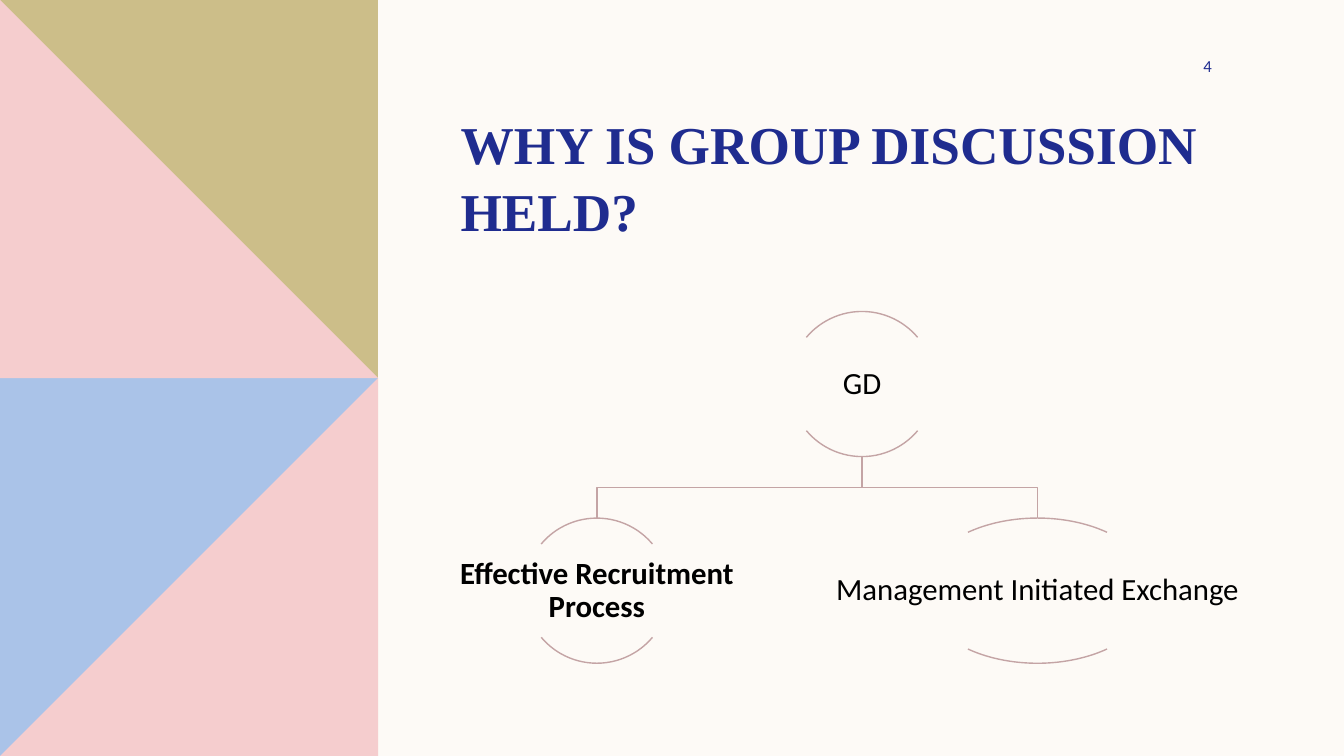
import dataclasses

import lxml.etree
import pptx
import pptx.dml.color
import pptx.enum.shapes
import pptx.enum.text
import pptx.util

Inches = pptx.util.Inches
Align = pptx.enum.text.PP_ALIGN
Anchor = pptx.enum.text.MSO_ANCHOR


@dataclasses.dataclass(frozen=True)
class Theme:
    background: str = "FDFAF6"
    blue: str = "AAC3E8"
    pink: str = "F5CDCE"
    olive: str = "CCBE89"
    navy: str = "1F2C8F"
    black: str = "000000"
    outline: str = "C4A4A5"
    heading_font: str = "Times New Roman"
    body_font: str = "Calibri"
    title_size: int = 38
    node_size: int = 22
    number_size: int = 12
    line_width: int = 1


@dataclasses.dataclass(frozen=True)
class Box:
    left: float
    top: float
    width: float
    height: float

    @property
    def right(self):
        return self.left + self.width

    @property
    def bottom(self):
        return self.top + self.height

    @property
    def center(self):
        return self.left + self.width / 2

    def lengths(self):
        return [Inches(value) for value in (self.left, self.top, self.width, self.height)]


THEME = Theme()


def color(value):
    return pptx.dml.color.RGBColor.from_string(value)


def set_all(target, values):
    for name, value in values.items():
        setattr(target, name, value)


def add_text(page, box, text, font, paragraph, anchor, insets):
    """Insets run left, top, right, bottom."""
    frame = page.shapes.add_textbox(*box.lengths()).text_frame
    set_all(frame, {"word_wrap": True, "vertical_anchor": anchor})
    for side, inset in zip(("left", "top", "right", "bottom"), insets):
        setattr(frame, f"margin_{side}", Inches(inset))
    para = frame.paragraphs[0]
    set_all(para, paragraph)
    span = para.add_run()
    span.text = text
    values = dict(font)
    span.font.color.rgb = color(values.pop("color"))
    values["size"] = pptx.util.Pt(values["size"])
    set_all(span.font, values)


def add_outline(page, points, closed):
    corners = [(Inches(x), Inches(y)) for x, y in points]
    builder = page.shapes.build_freeform(*corners[0], scale=1.0)
    builder.add_line_segments(corners[1:], close=closed)
    shape = builder.convert_to_shape()
    shape.shadow.inherit = False
    return shape


def style_line(shape):
    shape.fill.background()
    shape.line.color.rgb = color(THEME.outline)
    shape.line.width = pptx.util.Pt(THEME.line_width)


def add_side_panel(page, box):
    """Two stacked squares, each split along a diagonal."""
    middle = box.top + box.height / 2
    top_left, top_right = (box.left, box.top), (box.right, box.top)
    mid_left, mid_right = (box.left, middle), (box.right, middle)
    low_left, low_right = (box.left, box.bottom), (box.right, box.bottom)
    pieces = [
        (THEME.blue, [mid_left, mid_right, low_right, low_left]),
        (THEME.pink, [mid_right, low_right, low_left]),
        (THEME.olive, [top_left, top_right, mid_right, mid_left]),
        (THEME.pink, [top_left, mid_right, mid_left]),
    ]
    for fill, points in pieces:
        piece = add_outline(page, points, closed=True)
        piece.fill.solid()
        piece.fill.fore_color.rgb = color(fill)
        piece.line.fill.background()


def add_heading(page, box):
    font = {"name": THEME.heading_font, "size": THEME.title_size,
            "bold": True, "color": THEME.navy}
    add_text(page, box, "WHY IS GROUP DISCUSSION HELD?", font,
             {"line_spacing": 1.05}, Anchor.BOTTOM, (0.1, 0.05, 0.1, 0.05))


def add_page_number(page, box):
    font = {"name": THEME.body_font, "size": THEME.number_size, "color": THEME.navy}
    add_text(page, box, "4", font, {"alignment": Align.RIGHT},
             Anchor.MIDDLE, (0.1, 0.05, 0, 0.05))


def add_node(page, box, text, bold):
    """A label between an upper and a lower arc of the box's ellipse."""
    for start, end in ((220, 320), (40, 140)):
        arc = page.shapes.add_shape(pptx.enum.shapes.MSO_SHAPE.ARC, *box.lengths())
        arc.shadow.inherit = False
        # One adjustment unit is 100000 sixty-thousandths of a degree.
        arc.adjustments[0], arc.adjustments[1] = start * 0.6, end * 0.6
        style_line(arc)
    width, height = box.width * 2, box.height * 0.64
    label = Box(box.center - width / 2, box.top + (box.height - height) / 2, width, height)
    font = {"name": THEME.body_font, "size": THEME.node_size,
            "bold": bold, "color": THEME.black}
    add_text(page, label, text, font, {"alignment": Align.CENTER, "line_spacing": 0.9},
             Anchor.MIDDLE, (0.02,) * 4)


def add_branch(page, parent, child):
    middle = (parent.bottom + child.top) / 2
    style_line(add_outline(page, [
        (parent.center, parent.bottom), (parent.center, middle),
        (child.center, middle), (child.center, child.top)], closed=False))


def add_hierarchy(page, box):
    size = 1.44
    child_top = box.bottom - size
    root = Box(box.left + 3.35, box.top, size, size)
    recruitment = Box(box.left + 0.72, child_top, size, size)
    exchange = Box(box.left + 4.65, child_top, 2.32, size)
    for child in (exchange, recruitment):
        add_branch(page, root, child)
    add_node(page, root, "GD", False)
    add_node(page, recruitment, "Effective Recruitment Process", True)
    add_node(page, exchange, "Management Initiated Exchange", False)


def main():
    deck = pptx.Presentation()
    set_all(deck, {"slide_width": Inches(13.33), "slide_height": Inches(7.5)})
    page = deck.slides.add_slide(deck.slide_layouts[6])
    page.background.fill.solid()
    page.background.fill.fore_color.rgb = color(THEME.background)
    add_side_panel(page, Box(0, 0, 3.75, 7.5))
    add_heading(page, Box(4.47, 0.84, 8.13, 1.61))
    add_hierarchy(page, Box(4.48, 3.09, 8.14, 3.49))
    add_page_number(page, Box(10.94, 0.52, 1.08, 0.27))
    deck.save("out.pptx")


if __name__ == "__main__":
    main()
